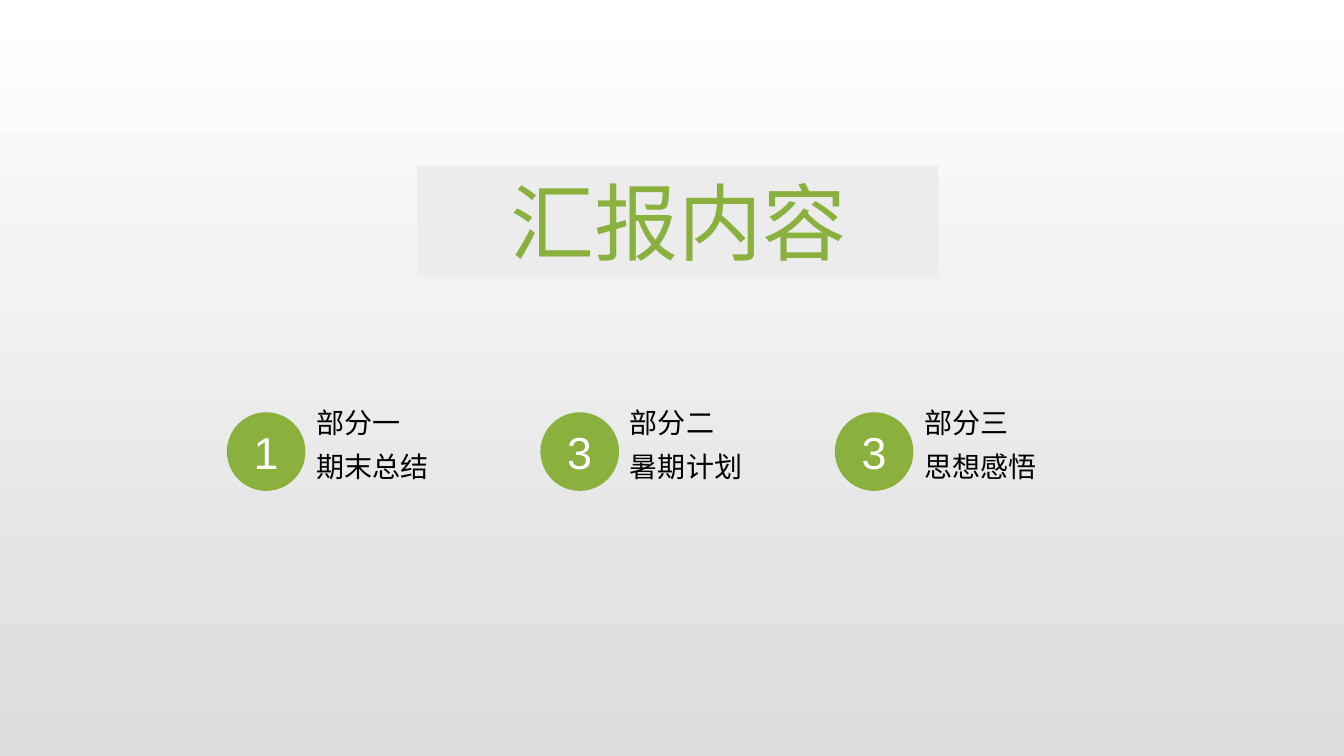
import pptx
import pptx.util
import pptx.dml.color
import pptx.enum.shapes
import pptx.enum.text
import pptx.oxml.ns
import lxml.etree
from dataclasses import dataclass

Inches = pptx.util.Inches
Align = pptx.enum.text.PP_ALIGN
Anchor = pptx.enum.text.MSO_ANCHOR
Preset = pptx.enum.shapes.MSO_SHAPE


@dataclass(frozen=True)
class Theme:
    green: str = "8AB03D"
    panel: str = "ECECEC"
    white: str = "FFFFFF"
    shade: str = "DCDCDC"
    black: str = "000000"
    latin: str = "Arial"
    chinese: str = "Noto Sans CJK JP"
    heading_size: int = 60
    number_size: int = 32
    label_size: int = 20


THEME = Theme()
PARTS = [
    (2.25, "1", "部分一", "期末总结", 2.38),
    (5.36, "3", "部分二", "暑期计划", 1.8),
    (8.28, "3", "部分三", "思想感悟", 1.76),
]
BADGE_TOP = 4.09
BADGE_SIZE = 0.78
LABEL_TOP = 3.97
LABEL_WIDTH = 3.47
LABEL_HEIGHT = 0.44


def rgb(value):
    return pptx.dml.color.RGBColor.from_string(value)


def write(holder, text, size, color, font=THEME.latin, align=Align.LEFT,
          anchor=Anchor.TOP, grow=True):
    frame = holder.text_frame
    frame.word_wrap = True
    frame.vertical_anchor = anchor
    if grow:
        frame.auto_size = pptx.enum.text.MSO_AUTO_SIZE.SHAPE_TO_FIT_TEXT
    paragraph = frame.paragraphs[0]
    paragraph.alignment = align
    run = paragraph.add_run()
    run.text = text
    run.font.size = pptx.util.Pt(size)
    run.font.name = font
    run.font.color.rgb = rgb(color)
    east_asian = lxml.etree.SubElement(
        run.font._element, pptx.oxml.ns.qn("a:ea"))
    east_asian.set("typeface", THEME.chinese)


def add_filled(shapes, preset, left, top, width, height, color):
    filled = shapes.add_shape(preset, Inches(left), Inches(top),
                              Inches(width), Inches(height))
    filled.shadow.inherit = False
    filled.fill.solid()
    filled.fill.fore_color.rgb = rgb(color)
    filled.line.fill.background()
    return filled


def add_label(shapes, text, left, top, width):
    label = shapes.add_textbox(Inches(left), Inches(top),
                               Inches(width), Inches(LABEL_HEIGHT))
    write(label, text, THEME.label_size, THEME.black)


def add_badge(shapes, number, left):
    badge = add_filled(shapes, Preset.OVAL, left, BADGE_TOP,
                       BADGE_SIZE, BADGE_SIZE, THEME.green)
    write(badge, number, THEME.number_size, THEME.white,
          align=Align.CENTER, anchor=Anchor.MIDDLE, grow=False)


def add_part(slide, left, number, part, topic, topic_width):
    label_left = left + BADGE_SIZE + 0.01
    heading = slide.shapes.add_group_shape()
    add_badge(heading.shapes, number, left)
    add_label(heading.shapes, part, label_left, LABEL_TOP, LABEL_WIDTH)
    add_label(slide.shapes, topic, label_left,
              LABEL_TOP + LABEL_HEIGHT, topic_width)


def add_heading(slide, text):
    panel = add_filled(slide.shapes, Preset.RECTANGLE,
                       4.14, 1.64, 5.17, 1.11, THEME.panel)
    write(panel, text, THEME.heading_size, THEME.green,
          font=THEME.chinese, align=Align.CENTER)


def paint_background(slide):
    fill = slide.background.fill
    fill.gradient()
    fill.gradient_angle = 270
    for stop, color, position in zip(
            fill.gradient_stops, (THEME.white, THEME.shade), (0, 1)):
        stop.color.rgb = rgb(color)
        stop.position = position


def main():
    deck = pptx.Presentation()
    deck.slide_width = Inches(13.33)
    deck.slide_height = Inches(7.5)
    slide = deck.slides.add_slide(deck.slide_layouts[6])
    paint_background(slide)
    add_heading(slide, "汇报内容")
    for part in PARTS:
        add_part(slide, *part)
    deck.save("out.pptx")


main()
